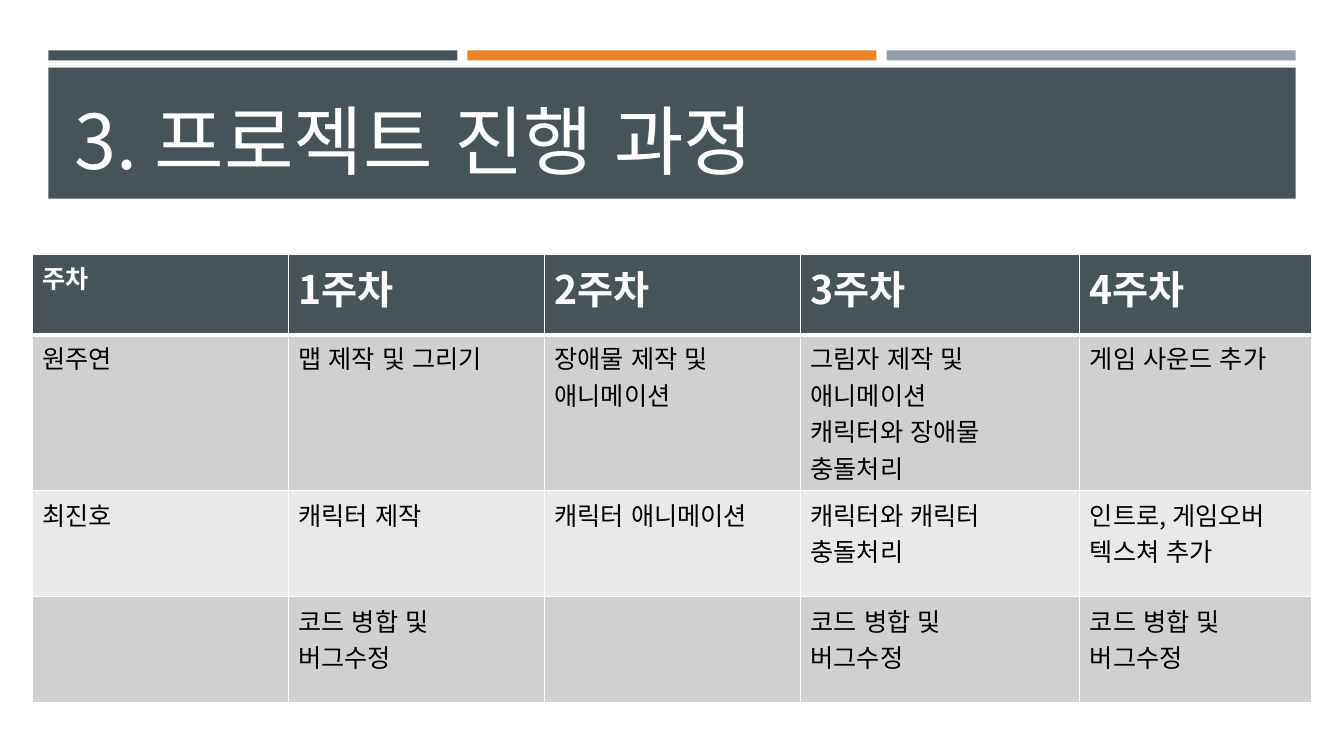
from dataclasses import dataclass

from lxml import etree
from pptx import Presentation
from pptx import util as u
from pptx.dml.color import RGBColor
from pptx.enum import lang, shapes, text
from pptx.oxml import ns

TITLE = "3. 프로젝트 진행 과정"
MERGE = "코드 병합 및\n버그수정"
SCHEDULE = [
    ["주차", "1주차", "2주차", "3주차", "4주차"],
    ["원주연", "맵 제작 및 그리기", "장애물 제작 및\n애니메이션",
     "그림자 제작 및\n애니메이션\n캐릭터와 장애물 충돌처리", "게임 사운드 추가"],
    ["최진호", "캐릭터 제작", "캐릭터 애니메이션",
     "캐릭터와 캐릭터 충돌처리", "인트로, 게임오버\n텍스쳐 추가"],
    ["", MERGE, "", MERGE, MERGE],
]
COLUMNS = [2.54, 2.54, 2.54, 2.77, 2.3]
ROWS = [0.8, 1.55, 1.05, 1.05]
WIDTH, HEIGHT = 13.33, 7.5


@dataclass(frozen=True)
class Theme:
    font: str = "Noto Sans CJK KR"
    dark: str = "465359"
    white: str = "FFFFFF"
    black: str = "000000"
    strips: tuple = ("465359", "ED8428", "969FA7")
    bands: tuple = ("CFD1D1", "E9E9EA")
    title_size: int = 54
    week_size: int = 28
    body_size: int = 18


THEME = Theme()


def write(frame, content, size, color, bold=False):
    for index, line in enumerate(content.split("\n")):
        para = frame.paragraphs[0] if index == 0 else frame.add_paragraph()
        para.alignment = text.PP_ALIGN.LEFT
        span = para.add_run()
        span.text = line
        font = span.font
        font.name, font.size, font.bold = THEME.font, u.Pt(size), bold
        font.color.rgb = RGBColor.from_string(color)
        font.language_id = lang.MSO_LANGUAGE_ID.KOREAN
        east_asian = etree.SubElement(span._r.get_or_add_rPr(), ns.qn("a:ea"))
        east_asian.set("typeface", THEME.font)


def paint(item, color):
    item.fill.solid()
    item.fill.fore_color.rgb = RGBColor.from_string(color)


def add_block(page, left, top, width, height, color):
    box = page.shapes.add_shape(shapes.MSO_SHAPE.RECTANGLE, *map(u.Inches, (left, top, width, height)))
    paint(box, color)
    box.line.fill.background()
    box.shadow.inherit = False
    # Behind the title placeholder, in front of earlier blocks
    page.shapes.title._element.addprevious(box._element)


def set_borders(cell, **points):
    """Draw white cell borders; each keyword is a side (L, R, T, B) and its width."""
    properties = cell._tc.get_or_add_tcPr()
    for index, (side, width) in enumerate(points.items()):
        line = etree.Element(ns.qn("a:ln" + side), w=str(u.Pt(width)))
        fill = etree.SubElement(line, ns.qn("a:solidFill"))
        etree.SubElement(fill, ns.qn("a:srgbClr"), val=THEME.white)
        properties.insert(index, line)


def add_header(page):
    left, width, gap = 0.48, 12.37, 0.1
    strip = (width - 2 * gap) / 3
    for index, color in enumerate(THEME.strips):
        add_block(page, left + index * (strip + gap), 0.5, strip, 0.1, color)
    add_block(page, left, 0.67, width, 1.3, THEME.dark)

    title = page.shapes.title
    title.left, title.top, title.width, title.height = map(u.Inches, (0.64, 0.77, 12.06, 1.11))
    title.text_frame.vertical_anchor = text.MSO_ANCHOR.BOTTOM
    title.text_frame.auto_size = text.MSO_AUTO_SIZE.NONE
    write(title.text_frame, TITLE, THEME.title_size, THEME.white)


def add_schedule(page):
    left = (WIDTH - sum(COLUMNS)) / 2
    table = page.shapes.add_table(
        len(ROWS), len(COLUMNS), u.Inches(left), u.Inches(2.52),
        u.Inches(sum(COLUMNS)), u.Inches(sum(ROWS))).table
    for column, width in zip(table.columns, COLUMNS):
        column.width = u.Inches(width)
    for row, height in zip(table.rows, ROWS):
        row.height = u.Inches(height)

    for r, entries in enumerate(SCHEDULE):
        heading = r == 0
        for c, entry in enumerate(entries):
            cell = table.cell(r, c)
            paint(cell, THEME.dark if heading else THEME.bands[(r - 1) % 2])
            set_borders(cell, L=1, R=1, T=3 if r == 1 else 1, B=3 if heading else 1)
            if entry:
                size = THEME.week_size if heading and c else THEME.body_size
                color = THEME.white if heading else THEME.black
                write(cell.text_frame, entry, size, color, bold=heading)


def main():
    deck = Presentation()
    deck.slide_width, deck.slide_height = u.Inches(WIDTH), u.Inches(HEIGHT)
    page = deck.slides.add_slide(deck.slide_layouts.get_by_name("Title Only"))
    add_header(page)
    add_schedule(page)
    deck.save("out.pptx")


if __name__ == "__main__":
    main()
